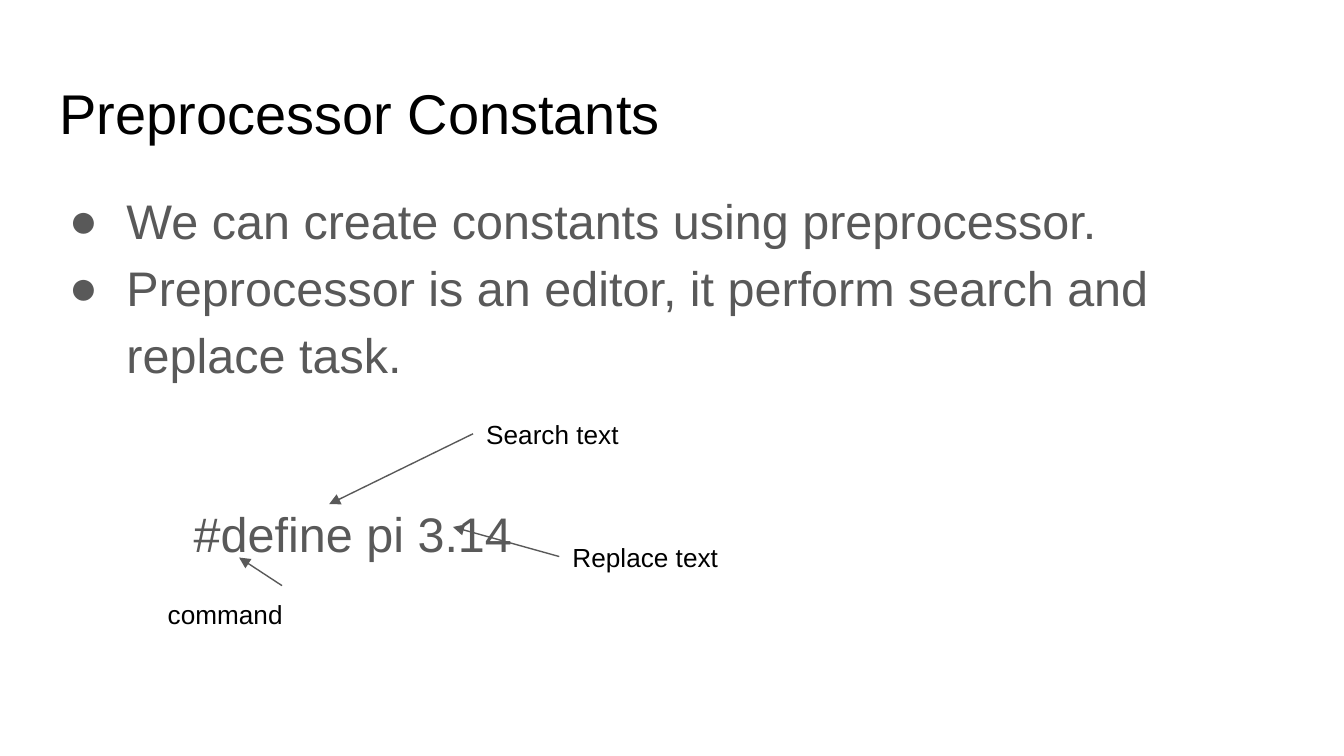
from dataclasses import dataclass

from lxml.etree import SubElement
from pptx import Presentation
from pptx.dml.color import RGBColor
from pptx.enum.shapes import MSO_CONNECTOR
from pptx.enum.text import MSO_ANCHOR, MSO_AUTO_SIZE, PP_ALIGN
from pptx.oxml.ns import qn
from pptx.util import Cm, Pt


@dataclass(frozen=True)
class Theme:
    font: str = "Arial"
    black: str = "000000"
    gray: str = "595959"
    title_size: float = 30
    body_size: float = 26
    label_size: float = 14
    line_width: float = 0.75
    inset: float = 0.25


def write_text(para, text, *, font, size, color, line_spacing=1.0, before=0,
               indent=0, hanging=0, bullet=None):
    """Fill a paragraph with one formatted span; indents are in centimetres."""
    span = para.add_run()
    span.text = text
    span.font.name, span.font.size = font, Pt(size)
    span.font.color.rgb = RGBColor.from_string(color)
    para.alignment = PP_ALIGN.LEFT
    para.line_spacing = line_spacing
    para.space_before, para.space_after = Pt(before), Pt(0)
    properties = para._p.get_or_add_pPr()
    properties.set("marL", str(Cm(indent)))
    properties.set("indent", str(Cm(-hanging)))
    if bullet:
        bullet_color = SubElement(properties, qn("a:buClr"))
        SubElement(bullet_color, qn("a:srgbClr"), val=color)
        SubElement(properties, qn("a:buFont"), typeface=font)
        SubElement(properties, qn("a:buChar"), char=bullet)
    else:
        SubElement(properties, qn("a:buNone"))


class SlideBuilder:
    def __init__(self, slide, theme):
        self.slide = slide
        self.theme = theme

    def prepare(self, box, left, top, width, height):
        box.left, box.top = Cm(left), Cm(top)
        box.width, box.height = Cm(width), Cm(height)
        frame = box.text_frame
        frame.word_wrap = True
        frame.auto_size = MSO_AUTO_SIZE.NONE
        frame.vertical_anchor = MSO_ANCHOR.TOP
        frame.margin_left = frame.margin_right = Cm(self.theme.inset)
        frame.margin_top = frame.margin_bottom = Cm(self.theme.inset)
        return frame

    def title(self, text, *place):
        frame = self.prepare(self.slide.shapes.title, *place)
        write_text(frame.paragraphs[0], text, font=self.theme.font,
                   size=self.theme.title_size, color=self.theme.black)

    def body(self, items, *place):
        frame = self.prepare(self.slide.placeholders[1], *place)
        for index, (text, options) in enumerate(items):
            para = frame.add_paragraph() if index else frame.paragraphs[0]
            write_text(para, text, font=self.theme.font, size=self.theme.body_size,
                       color=self.theme.gray, line_spacing=1.15, **options)

    def label(self, text, left, top):
        place = (left, top, 4.8, 1.11)
        box = self.slide.shapes.add_textbox(*map(Cm, place))
        frame = self.prepare(box, *place)
        frame.auto_size = MSO_AUTO_SIZE.SHAPE_TO_FIT_TEXT
        write_text(frame.paragraphs[0], text, font=self.theme.font,
                   size=self.theme.label_size, color=self.theme.black)

    def arrow(self, start, end):
        arrow = self.slide.shapes.add_connector(
            MSO_CONNECTOR.STRAIGHT, *map(Cm, (*start, *end)))
        arrow.line.color.rgb = RGBColor.from_string(self.theme.gray)
        arrow.line.width = Pt(self.theme.line_width)
        SubElement(arrow.line._get_or_add_ln(), qn("a:tailEnd"), type="triangle")
        SubElement(arrow._element.spPr, qn("a:effectLst"))


# Deck and slide
deck = Presentation()
deck.slide_width, deck.slide_height = Cm(25.4), Cm(14.29)
page = SlideBuilder(deck.slides.add_slide(deck.slide_layouts[1]), Theme())

# Title and body
bulleted = dict(indent=1.27, hanging=1.09, bullet="●")
page.title("Preprocessor Constants", 0.87, 1.24, 23.67, 1.6)
page.body([
    ("We can create constants using preprocessor.", bulleted),
    ("Preprocessor is an editor, it perform search and replace task.", bulleted),
    ("#define pi 3.14", dict(indent=2.54, before=60)),
], 0.87, 3.2, 23.67, 9.5)

# Labels with arrows to the parts of the directive
callouts = [
    ("command", (2.92, 11.07), (5.33, 11.07), (4.52, 10.54)),
    ("Search text", (8.94, 7.65), (8.94, 8.2), (6.22, 9.53)),
    ("Replace text", (10.57, 9.98), (10.57, 10.52), (8.56, 9.96)),
]
for text, corner, start, end in callouts:
    page.label(text, *corner)
    page.arrow(start, end)

deck.save("out.pptx")
